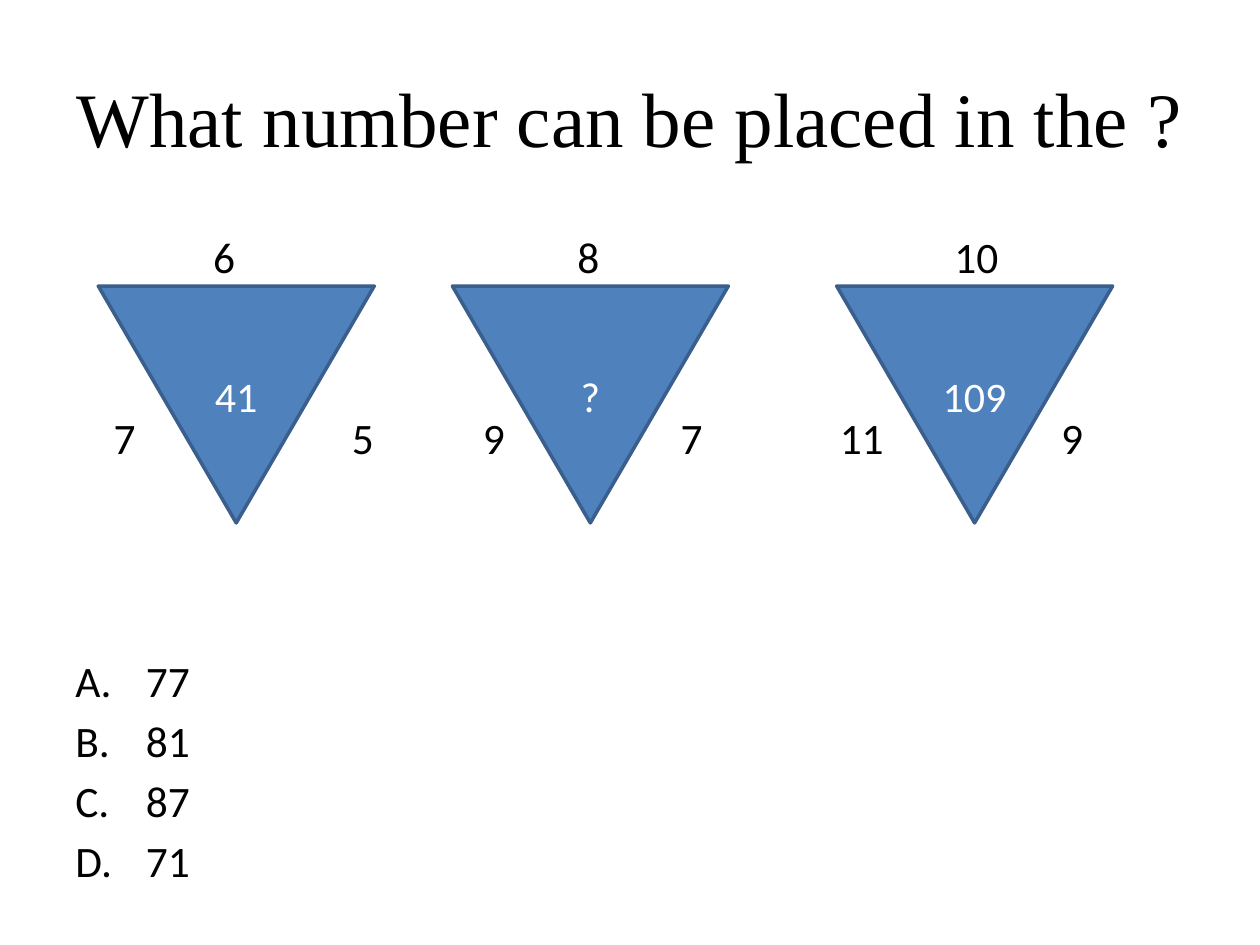
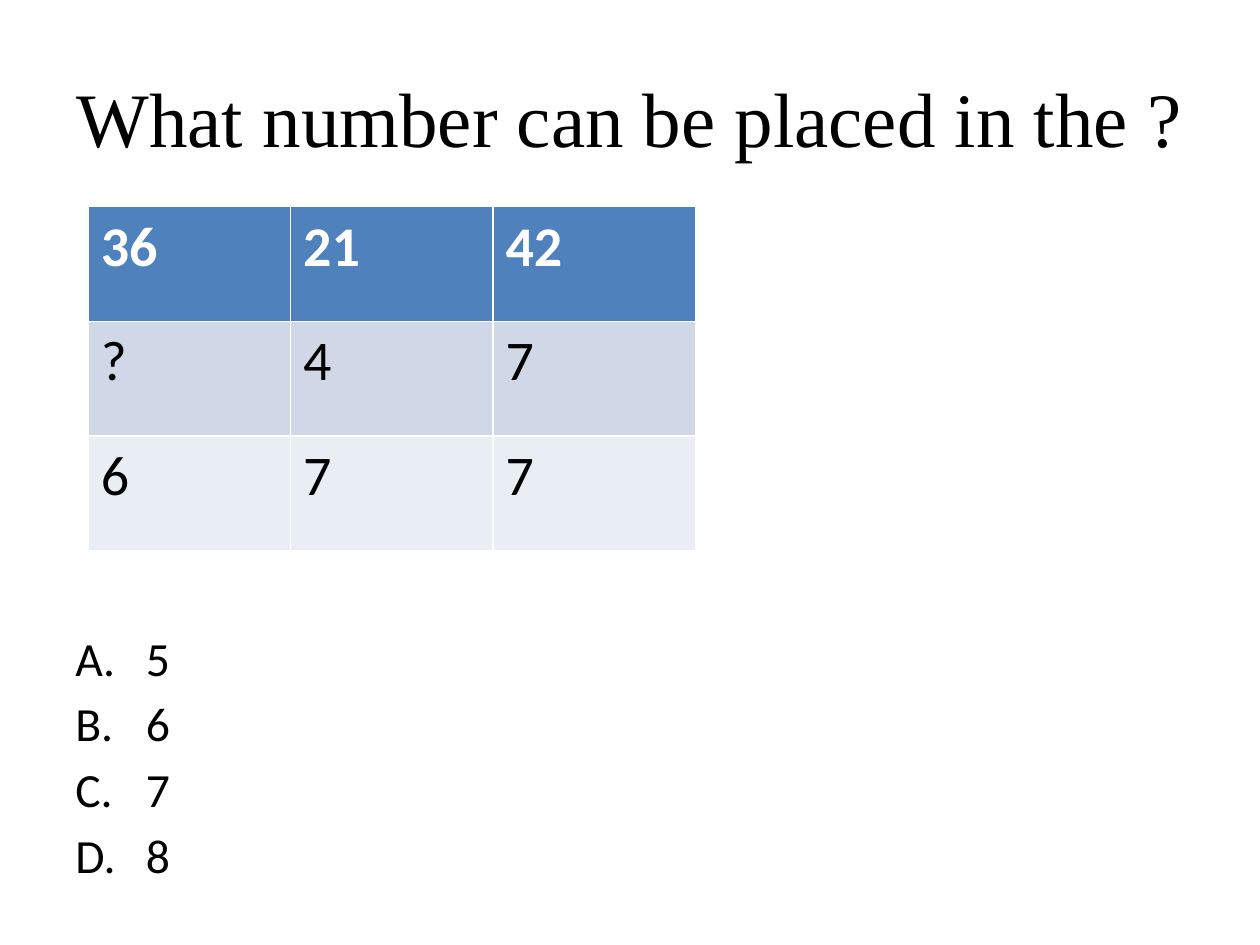
import pptx
import pptx.util
import pptx.dml.color
import pptx.enum.shapes
import pptx.enum.text
import pptx.oxml.ns
from lxml import etree

Inches, Pt = pptx.util.Inches, pptx.util.Pt
RGB = pptx.dml.color.RGBColor
ALIGN = pptx.enum.text.PP_ALIGN
ANCHOR = pptx.enum.text.MSO_ANCHOR

# Content
TITLE = "What number can be placed in the ?"
# Each triangle: left edge, inner text, then (text, centre x) for top, left, right
CONES = [
    (0.78, "41", ("6", 1.78), ("7", 0.99), ("5", 2.88)),
    (3.59, "?", ("8", 4.67), ("9", 3.92), ("7", 5.49)),
    (6.64, "109", ("10", 7.75), ("11", 6.84), ("9", 8.51)),
]
GRID = [("36", "21", "42"), ("?", "4", "7"), ("6", "7", "7")]
PICKS_ONE = ["77", "81", "87", "71"]
PICKS_TWO = ["5", "6", "7", "8"]

# Shared style
BLACK, WHITE = RGB(0, 0, 0), RGB(255, 255, 255)
BLUE, EDGE = RGB(0x4F, 0x81, 0xBD), RGB(0x3A, 0x5F, 0x8C)
FILLS = [BLUE, RGB(0xD0, 0xD8, 0xE8), RGB(0xE9, 0xED, 0xF4)]
BODY, HEAD = "Calibri", "Times New Roman"
BODY_SIZE = 24.8
TOP_Y, SIDE_Y = 2.03, 3.47


def style(para, size, color=BLACK, name=BODY, bold=False):
    font = para.font
    font.size, font.name, font.bold = Pt(size), name, bold
    font.color.rgb = color


def add_box(slide, left, top, width, height):
    frame = slide.shapes.add_textbox(
        Inches(left), Inches(top), Inches(width), Inches(height)).text_frame
    frame.word_wrap = True
    return frame


def add_page(deck):
    slide = deck.slides.add_slide(deck.slide_layouts[6])
    frame = add_box(slide, 0.5, 0.3, 9, 1.25)
    frame.vertical_anchor = ANCHOR.MIDDLE
    para = frame.paragraphs[0]
    para.text, para.alignment = TITLE, ALIGN.CENTER
    style(para, 44, name=HEAD)
    return slide


def add_picks(slide, picks, top, size):
    """Lettered answers, ending at the foot of the body area."""
    frame = add_box(slide, 0.5, top, 9, 6.7 - top)
    for i, pick in enumerate(picks):
        para = frame.add_paragraph() if i else frame.paragraphs[0]
        para.text = pick
        props = para._p.get_or_add_pPr()
        props.set("marL", str(Inches(0.56)))
        props.set("indent", str(-Inches(0.56)))
        mark = etree.SubElement(props, pptx.oxml.ns.qn("a:buAutoNum"))
        mark.set("type", "alphaUcPeriod")
        if i:
            para.space_before = Pt(round(0.18 * size, 1))
        style(para, size)


def add_label(slide, text, x, y):
    """Number centred on the point x, y."""
    frame = add_box(slide, x - 0.4, y - 0.25, 0.8, 0.5)
    frame.vertical_anchor = ANCHOR.MIDDLE
    para = frame.paragraphs[0]
    para.text, para.alignment = text, ALIGN.CENTER
    style(para, BODY_SIZE)


def add_cone(slide, left, text):
    cone = slide.shapes.add_shape(
        pptx.enum.shapes.MSO_SHAPE.FLOWCHART_MERGE,
        Inches(left), Inches(2.27), Inches(2.19), Inches(1.88))
    cone.shadow.inherit = False
    cone.fill.solid()
    cone.fill.fore_color.rgb = BLUE
    cone.line.color.rgb, cone.line.width = EDGE, Pt(2)
    frame = cone.text_frame
    frame.vertical_anchor = ANCHOR.TOP
    frame.margin_top, frame.margin_bottom = Inches(0.67), 0
    para = frame.paragraphs[0]
    para.text, para.alignment = text, ALIGN.CENTER
    style(para, 24, WHITE)


def add_grid(slide):
    table = slide.shapes.add_table(
        len(GRID), len(GRID[0]), Inches(0.7), Inches(1.64),
        Inches(4.82), Inches(2.73)).table
    for r, row in enumerate(GRID):
        for c, text in enumerate(row):
            cell = table.cell(r, c)
            cell.fill.solid()
            cell.fill.fore_color.rgb = FILLS[r]
            para = cell.text_frame.paragraphs[0]
            para.text = text
            style(para, 32, BLACK if r else WHITE, bold=not r)


def main():
    deck = pptx.Presentation()
    deck.slide_width, deck.slide_height = Inches(10), Inches(7.5)

    # Triangle puzzle
    slide = add_page(deck)
    for left, inner, top, *sides in CONES:
        add_cone(slide, left, inner)
        add_label(slide, *top, TOP_Y)
        for side in sides:
            add_label(slide, *side, SIDE_Y)
    add_picks(slide, PICKS_ONE, 5.14, BODY_SIZE)

    # Table puzzle
    slide = add_page(deck)
    add_grid(slide)
    add_picks(slide, PICKS_TWO, 4.94, 27.2)

    deck.save("out.pptx")


if __name__ == "__main__":
    main()
